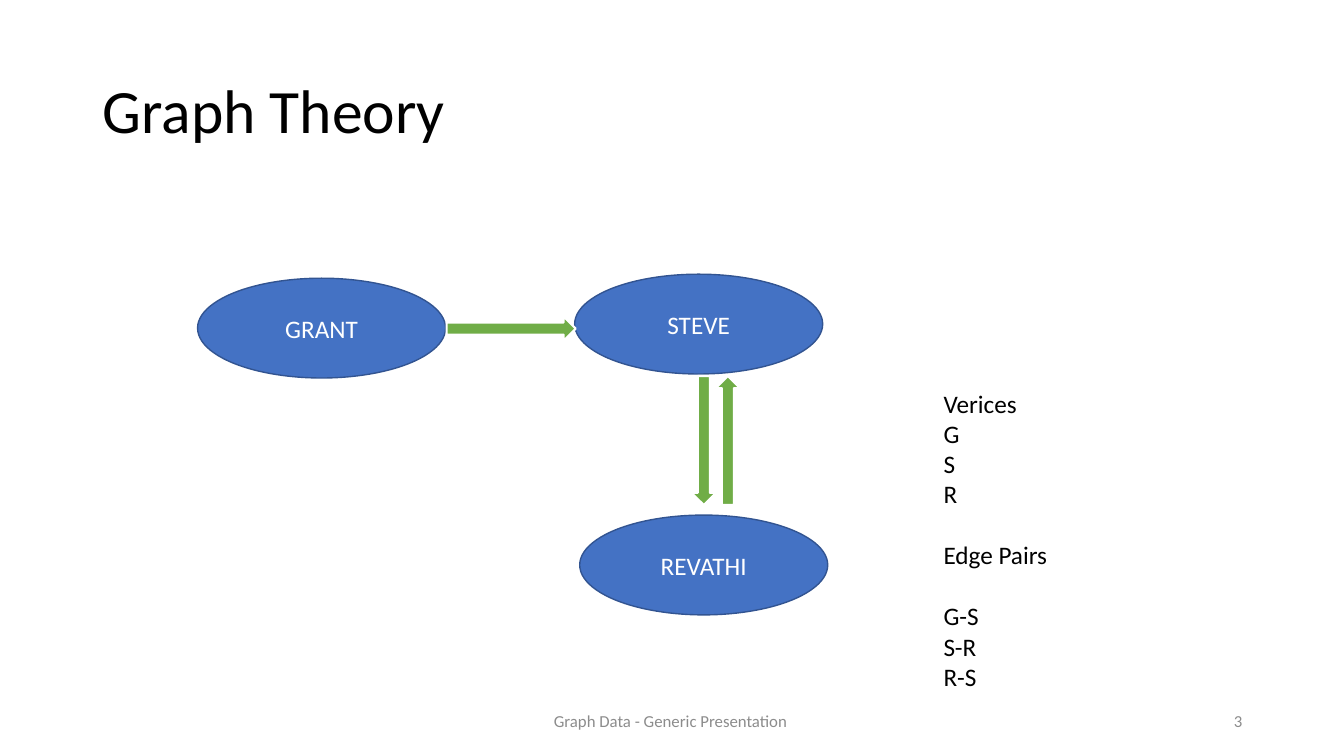
from dataclasses import dataclass

from pptx import Presentation
from pptx import util as u
from pptx.dml.color import RGBColor
from pptx.enum import shapes, text


@dataclass(frozen=True)
class Theme:
    font: str = "Calibri"
    ink: str = "000000"
    muted: str = "8C8C8C"
    light: str = "FFFFFF"
    node: str = "4472C4"
    node_line: str = "325491"
    edge: str = "70AD47"
    title_size: int = 44
    body_size: int = 18
    footer_size: int = 12
    blank_line: int = 22


THEME = Theme()
NODE_SIZE = (2.46, 0.99)
EDGE_SIZE = (1.28, 0.24)


def write(shape, lines, size=THEME.body_size, color=THEME.ink,
          align=text.PP_ALIGN.LEFT, anchor=text.MSO_ANCHOR.MIDDLE,
          wrap=True, line_spacing=None, gaps=()):
    """Fill a shape with paragraphs; gaps lists the lines set off by space."""
    frame = shape.text_frame
    frame.word_wrap = wrap
    frame.vertical_anchor = anchor
    for index, line in enumerate(lines):
        paragraph = frame.paragraphs[0] if index == 0 else frame.add_paragraph()
        paragraph.text = line
        paragraph.alignment = align
        paragraph.line_spacing = line_spacing
        if line in gaps:
            paragraph.space_before = u.Pt(THEME.blank_line)
        paragraph.font.name = THEME.font
        paragraph.font.size = u.Pt(size)
        paragraph.font.color.rgb = RGBColor.from_string(color)
    return frame


def add_text(slide, box, lines, **style):
    return write(slide.shapes.add_textbox(*map(u.Inches, box)), lines, **style)


def add_filled(slide, kind, box, fill, line, line_width):
    shape = slide.shapes.add_shape(kind, *map(u.Inches, box))
    shape.shadow.inherit = False
    shape.fill.solid()
    shape.fill.fore_color.rgb = RGBColor.from_string(fill)
    shape.line.color.rgb = RGBColor.from_string(line)
    shape.line.width = u.Pt(line_width)
    return shape


def add_title(slide, box):
    add_text(slide, box, ["Graph Theory"], size=THEME.title_size, line_spacing=0.9)


def add_graph(slide, box):
    left, top = box[:2]
    # People as vertices
    for name, x, y in (("GRANT", 0, 0.04), ("STEVE", 3.74, 0), ("REVATHI", 3.79, 2.39)):
        node = add_filled(slide, shapes.MSO_SHAPE.OVAL, (left + x, top + y, *NODE_SIZE),
                          THEME.node, THEME.node_line, 1)
        write(node, [name], color=THEME.light, align=text.PP_ALIGN.CENTER)
    # Directed edges
    for x, y, rotation in ((2.47, 0.42, 0), (4.38, 1.53, 90), (4.62, 1.53, 270)):
        edge = add_filled(slide, shapes.MSO_SHAPE.RIGHT_ARROW,
                          (left + x, top + y, *EDGE_SIZE), THEME.edge, THEME.light, 1.5)
        edge.rotation = rotation


def add_legend(slide, box):
    lines = ["Verices", "G", "S", "R", "Edge Pairs", "G-S", "S-R", "R-S"]
    frame = add_text(slide, box, lines, anchor=text.MSO_ANCHOR.TOP, wrap=False,
                     gaps=("Edge Pairs", "G-S"))
    frame.auto_size = text.MSO_AUTO_SIZE.SHAPE_TO_FIT_TEXT


def add_footer(slide, box):
    left, top, width, height = box
    number_width = 3
    style = dict(size=THEME.footer_size, color=THEME.muted)
    add_text(slide, (left, top, 4.5, height), ["Graph Data - Generic Presentation "],
             align=text.PP_ALIGN.CENTER, **style)
    add_text(slide, (left + width - number_width, top, number_width, height), ["3"],
             align=text.PP_ALIGN.RIGHT, **style)


def main():
    presentation = Presentation()
    presentation.slide_width = u.Inches(13.33)
    presentation.slide_height = u.Inches(7.5)
    slide = presentation.slides.add_slide(presentation.slide_layouts[6])
    add_title(slide, (0.92, 0.4, 11.5, 1.45))
    add_graph(slide, (1.96, 2.72, 6.25, 3.38))
    add_legend(slide, (9.26, 3.8, 1.24, 3.13))
    add_footer(slide, (4.42, 6.95, 8, 0.4))
    presentation.save("out.pptx")


if __name__ == "__main__":
    main()
